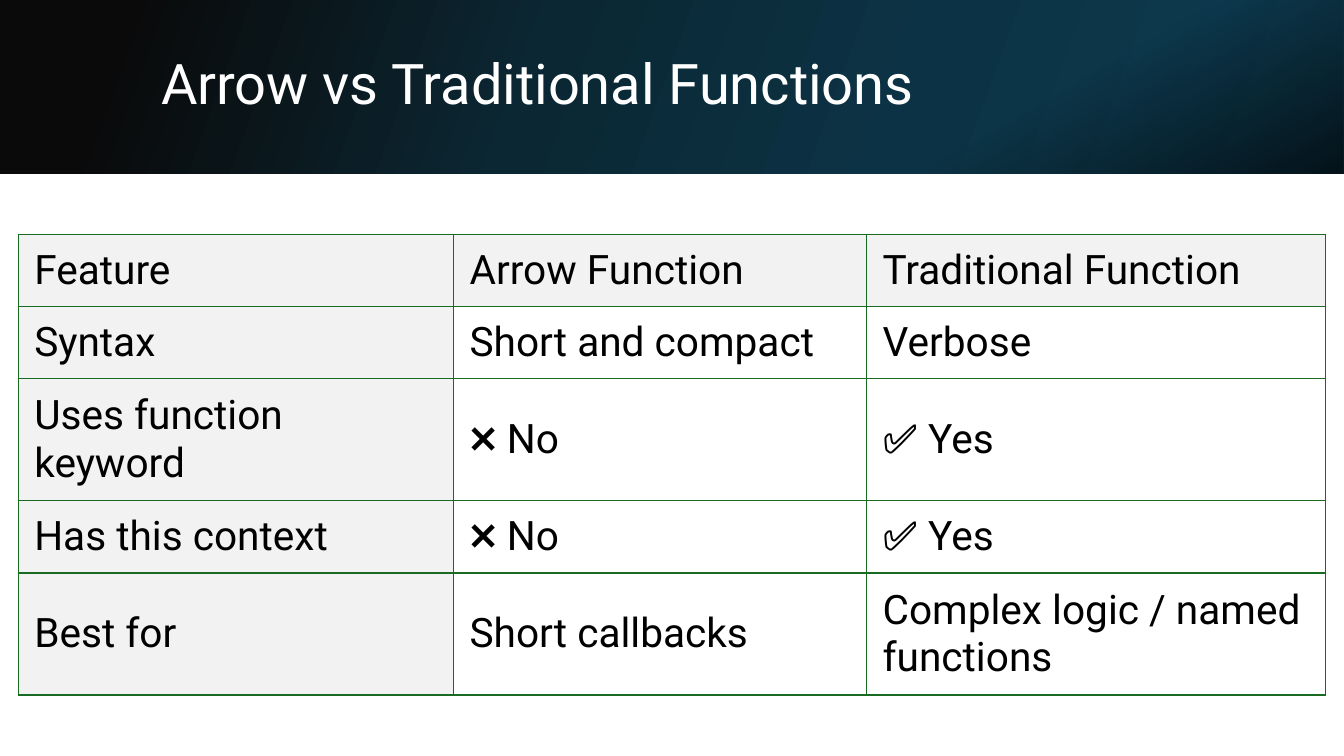
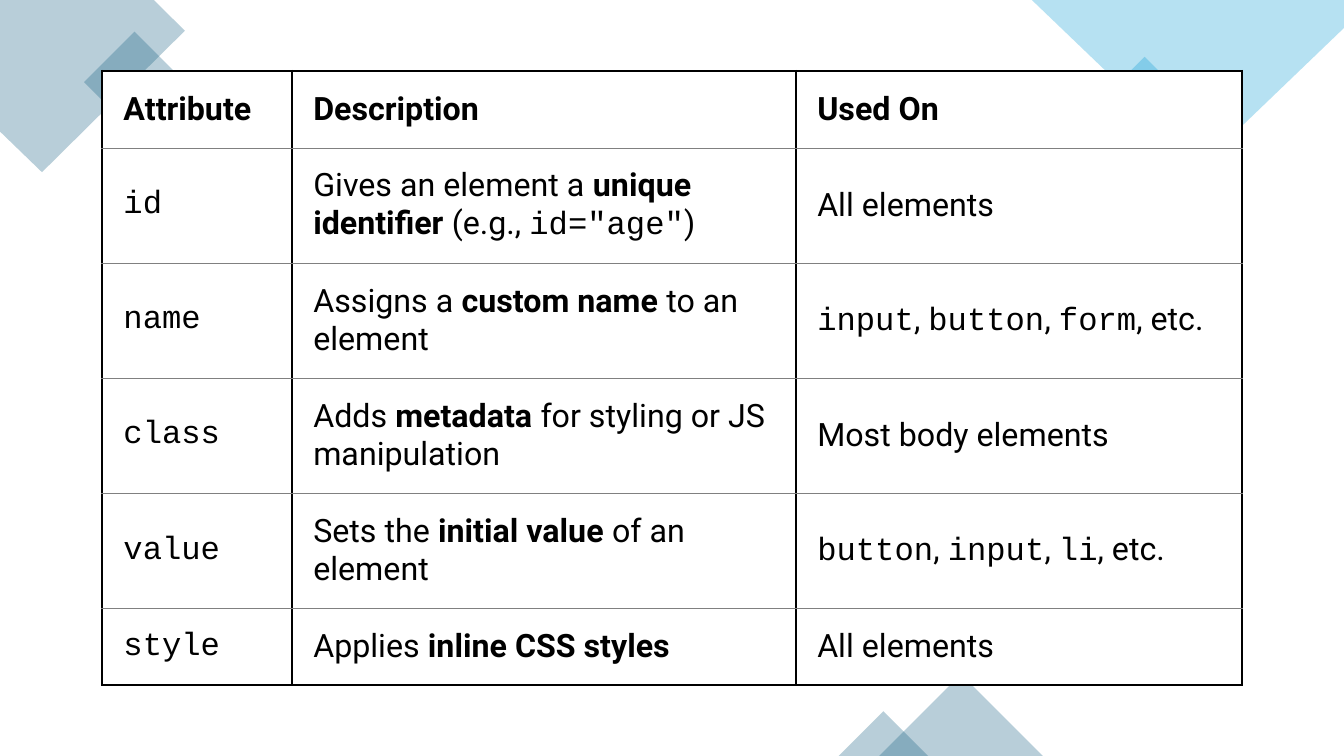
from dataclasses import dataclass

from lxml import etree
from pptx import Presentation
from pptx import util as u
from pptx.dml.color import RGBColor
from pptx.enum import shapes, text
from pptx.oxml import ns

Pt = u.Pt
WIDE, HIGH = 960, 540


@dataclass(frozen=True)
class Theme:
    ink: str = "000000"
    paper: str = "FFFFFF"
    shade: str = "F2F2F2"
    green: str = "196B24"
    grey: str = "808080"
    teal: str = "156082"
    sky: str = "0F9ED5"
    body: str = "Roboto"
    code: str = "Courier New"
    title: int = 40
    large: int = 29
    small: int = 23
    # Gradient stops: position, colour, opacity (all percent but the colour)
    band: tuple = ((0, "0A0A0A", 100), (9, "0A0A0A", 100), (40, "0B2733", 100),
                   (68, "0C3345", 100), (100, "0E3C52", 100))
    dusk: tuple = ((0, "000000", 0), (74, "000000", 0), (100, "000000", 70))


T = Theme()

COMPARE = [
    ("Feature", "Arrow Function", "Traditional Function"),
    ("Syntax", "Short and compact", "Verbose"),
    ("Uses function keyword", "❌ No", "✅ Yes"),
    ("Has this context", "❌ No", "✅ Yes"),
    ("Best for", "Short callbacks", "Complex logic / named functions"),
]

# *bold* and `code` mark the runs
ATTRS = [
    ("*Attribute*", "*Description*", "*Used On*"),
    ("`id`", 'Gives an element a *unique identifier* (e.g., `id="age"`)',
     "All elements"),
    ("`name`", "Assigns a *custom name* to an element",
     "`input`, `button`, `form`, etc."),
    ("`class`", "Adds *metadata* for styling or JS manipulation",
     "Most body elements"),
    ("`value`", "Sets the *initial value* of an element",
     "`button`, `input`, `li`, etc."),
    ("`style`", "Applies *inline CSS styles*", "All elements"),
]


def assign(obj, **vals):
    for key, val in vals.items():
        setattr(obj, key, val)


def sub(node, tag, **vals):
    return etree.SubElement(node, ns.qn("a:" + tag),
                            {key: str(val) for key, val in vals.items()})


def write(para, words, size, color=T.ink):
    """Add runs to a paragraph, reading the *bold* and `code` marks."""
    for i, part in enumerate(words.split("*")):
        for j, bit in enumerate(part.split("`")):
            if bit:
                run = para.add_run()
                run.text = bit
                assign(run.font, size=Pt(size), bold=i % 2 == 1,
                       name=T.code if j % 2 else T.body)
                run.font.color.rgb = RGBColor.from_string(color)


def tint(shape, color, alpha=30):
    """Give a shape a see-through fill, with no line or shadow."""
    shape.shadow.inherit = False
    shape.line.fill.background()
    shape.fill.solid()
    shape.fill.fore_color.rgb = RGBColor.from_string(color)
    node = shape.element.spPr.find(ns.qn("a:solidFill"))[0]
    sub(node, "alpha", val=alpha * 1000)


def preset(slide, kind, box, color):
    tint(slide.shapes.add_shape(kind, *map(Pt, box)), color)


def outline(slide, points, color):
    start, *rest = [(Pt(x), Pt(y)) for x, y in points]
    build = slide.shapes.build_freeform(*start)
    build.add_line_segments(rest)
    tint(build.convert_to_shape(), color)


def blend(slide, high, stops, angle):
    """Lay a gradient strip across the top of the slide."""
    strip = slide.shapes.add_shape(shapes.MSO_SHAPE.RECTANGLE, 0, 0,
                                   Pt(WIDE), Pt(high))
    strip.shadow.inherit = False
    strip.line.fill.background()
    strip.fill.gradient()
    props = strip.element.spPr
    old = props.find(ns.qn("a:gradFill"))
    grad = etree.Element(ns.qn("a:gradFill"), rotWithShape="1")
    props.replace(old, grad)
    row = sub(grad, "gsLst")
    for pos, color, alpha in stops:
        stop = sub(row, "gs", pos=pos * 1000)
        sub(sub(stop, "srgbClr", val=color), "alpha", val=alpha * 1000)
    sub(grad, "lin", ang=angle * 60000, scaled=0)


def header(slide, words):
    blend(slide, 124, T.band, 20)
    blend(slide, 124, T.dusk, 60)
    frame = slide.shapes.add_textbox(*map(Pt, (108, 27, 790, 69))).text_frame
    assign(frame, word_wrap=True, vertical_anchor=text.MSO_ANCHOR.MIDDLE)
    para = frame.paragraphs[0]
    para.line_spacing = 0.9
    write(para, words, T.title, T.paper)


def edge(cell, side, color, width):
    line = sub(cell._tc.get_or_add_tcPr(), "ln" + side, w=Pt(width))
    sub(sub(line, "solidFill"), "srgbClr", val=color)


def grid(slide, at, cols, rows, data, size, pads, rule, fill):
    """Draw a table; rule(side, row) gives an edge, fill(row, col) a colour."""
    frame = slide.shapes.add_table(len(rows), len(cols), *map(Pt, at),
                                   Pt(sum(cols)), Pt(sum(rows)))
    table = frame.table
    assign(table, first_row=False, horz_banding=False)
    for col, wide in zip(table.columns, cols):
        col.width = Pt(wide)
    for r, (row, high) in enumerate(zip(table.rows, rows)):
        row.height = Pt(high)
        for c, cell in enumerate(row.cells):
            for side in "LRTB":
                edge(cell, side, *rule(side, r))
            cell.fill.solid()
            cell.fill.fore_color.rgb = RGBColor.from_string(fill(r, c))
            assign(cell, vertical_anchor=text.MSO_ANCHOR.MIDDLE,
                   **{"margin_" + k: Pt(v) for k, v in pads.items()})
            write(cell.text_frame.paragraphs[0], data[r][c], size)


def compare(slide):
    header(slide, "Arrow vs Traditional Functions")
    short, tall = 51.6, 87.2
    grid(slide, (13, 167.3), (311, 295, 327.8),
         (short, short, tall, short, tall), COMPARE, T.large,
         dict(left=11.5, right=11.5, top=5.8, bottom=5.8),
         lambda side, r: (T.green, 1),
         lambda r, c: T.paper if r and c else T.shade)


def decor(slide):
    """Scatter the see-through diamonds around the slide's edges."""
    kind = shapes.MSO_SHAPE
    outline(slide, [(0, 0), (110, 0), (132, 22), (30, 123), (0, 94)], T.teal)
    preset(slide, kind.DIAMOND, (60, 22.6, 72.2, 72.2), T.teal)
    preset(slide, kind.DIAMOND, (779.4, 40.6, 76.4, 76.4), T.sky)
    outline(slide, [(737, 0), (960, 0), (960, 20), (859, 117)], T.sky)
    for left, wide in ((628, 117), (599, 64)):
        high = wide / 2
        preset(slide, kind.ISOSCELES_TRIANGLE,
               (left, HIGH - high, wide, high), T.teal)


def attrs(slide):
    decor(slide)
    last = len(ATTRS) - 1

    def rule(side, r):
        inner = side == "T" and r > 0 or side == "B" and r < last
        return (T.grey, 0.5) if inner else (T.ink, 1.5)

    grid(slide, (73, 50.6), (135.6, 360, 318.4),
         (55, *[82.2] * (last - 1), 55), ATTRS, T.small,
         dict(left=15.2, right=11.5, top=11.5, bottom=11.5),
         rule, lambda r, c: T.paper)


def main():
    deck = Presentation()
    assign(deck, slide_width=Pt(WIDE), slide_height=Pt(HIGH))
    for draw in (compare, attrs):
        draw(deck.slides.add_slide(deck.slide_layouts[6]))
    deck.save("out.pptx")


if __name__ == "__main__":
    main()
